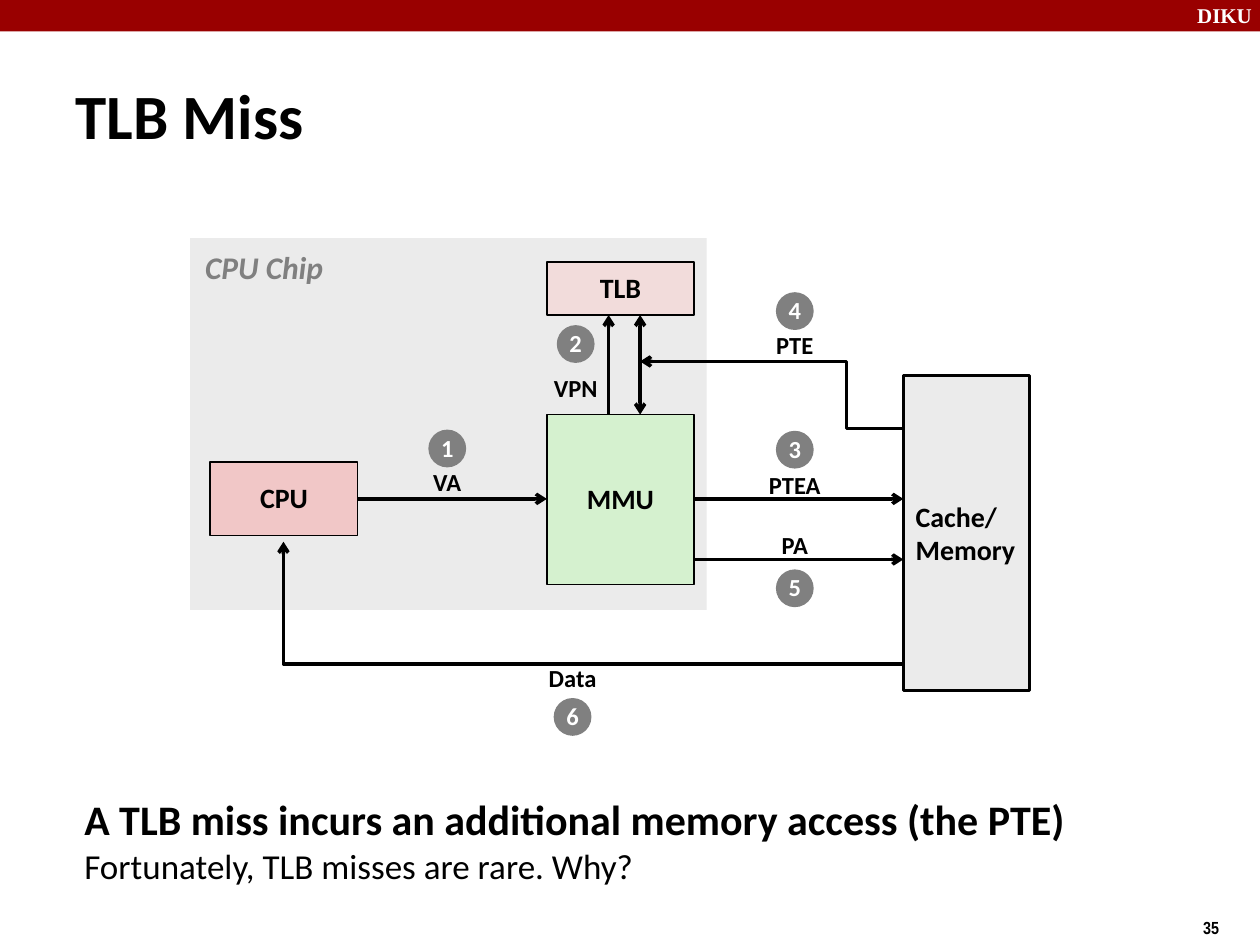
from lxml import etree
from pptx import Presentation
from pptx.dml.color import RGBColor
from pptx.enum import shapes, text
from pptx.oxml.ns import qn
from pptx.util import Pt

SHAPE = shapes.MSO_SHAPE
LINE = shapes.MSO_CONNECTOR
LEFT, CENTER = text.PP_ALIGN.LEFT, text.PP_ALIGN.CENTER
MIDDLE, TOP = text.MSO_ANCHOR.MIDDLE, text.MSO_ANCHOR.TOP
BLACK, WHITE, GREY, PALE = "000000", "FFFFFF", "808080", "EBEBEB"


def color(hex_code):
    return RGBColor.from_string(hex_code)


def style(font, size, hex_code=BLACK, bold=True, name="Calibri"):
    font.size, font.bold, font.name = Pt(size), bold, name
    font.color.rgb = color(hex_code)


def place(part, left, top, width, height):
    part.left, part.top = Pt(left), Pt(top)
    part.width, part.height = Pt(width), Pt(height)


def write(part, words, size, hex_code=BLACK, align=LEFT, anchor=MIDDLE,
          wrap=False, name="Calibri"):
    frame = part.text_frame
    frame.text = words
    frame.word_wrap, frame.vertical_anchor = wrap, anchor
    for para in frame.paragraphs:
        para.alignment = align
        if align == CENTER:
            para.line_spacing = 0.98
        for span in para.runs:
            style(span.font, size, hex_code, name=name)


def add_block(page, kind, box, fill, line_width=0):
    block = page.shapes.add_shape(kind, *map(Pt, box))
    block.shadow.inherit = False
    block.fill.solid()
    block.fill.fore_color.rgb = color(fill)
    if line_width:
        block.line.color.rgb = color(BLACK)
        block.line.width = Pt(line_width)
    else:
        block.line.fill.background()
    return block


def add_label(page, box, words, size, **options):
    label = page.shapes.add_textbox(*map(Pt, box))
    write(label, words, size, **options)
    return label


def add_arrow(page, start, end, kind=LINE.STRAIGHT, both=False):
    arrow = page.shapes.add_connector(kind, *map(Pt, start + end))
    arrow.line.color.rgb = color(BLACK)
    arrow.line.width = Pt(2)
    line = arrow.line._get_or_add_ln()
    for tag in ("a:headEnd", "a:tailEnd") if both else ("a:tailEnd",):
        etree.SubElement(line, qn(tag), type="arrow")
    etree.SubElement(arrow._element.spPr, qn("a:effectLst"))
    return arrow


def add_frame(page, width):
    """Top band, department name and page number."""
    add_block(page, SHAPE.RECTANGLE, (0, 0, width, 18), "990000")
    add_label(page, (width - 43, -2, 48, 21.6), "DIKU", 12, hex_code=WHITE,
              anchor=TOP, name="Times New Roman")
    add_label(page, (width - 39.6, 520.6, 54, 21), "35", 10, anchor=TOP,
              wrap=True, name="Arial Narrow")


def add_title(page, box):
    title = page.shapes.title
    place(title, *box)
    write(title, "TLB Miss", 36, wrap=True)
    title.text_frame.auto_size = text.MSO_AUTO_SIZE.NONE


def add_summary(page, box):
    body = page.placeholders[1]
    place(body, *box)
    frame = body.text_frame
    frame.text = ("A TLB miss incurs an additional memory access (the PTE)\v"
                  "Fortunately, TLB misses are rare. Why?")
    frame.auto_size = text.MSO_AUTO_SIZE.NONE
    para = frame.paragraphs[0]
    para.space_before = Pt(0)
    settings = para._p.get_or_add_pPr()
    settings.set("marL", "0")
    settings.set("indent", "0")
    etree.SubElement(settings, qn("a:buNone"))
    claim, question = para.runs
    style(claim.font, 24)
    style(question.font, 20, bold=False)


def add_diagram(page, left, top):
    def at(x, y):
        return left + x, top + y

    # CPU chip background and caption
    add_block(page, SHAPE.RECTANGLE, at(0, 0) + (295.2, 212.4), PALE)
    caption = add_label(page, at(1.4, 2.2) + (82, 28.8), "CPU Chip", 18,
                        hex_code=GREY, anchor=TOP)
    caption.text_frame.paragraphs[0].runs[0].font.italic = True

    # Units: name, x, y, width, height, fill, line width, alignment
    units = [
        ("MMU", 203.8, 100.8, 84.2, 97.2, "D5F1CF", 1, CENTER),
        ("Cache/\nMemory", 407.5, 78.5, 72, 180, PALE, 1.5, LEFT),
        ("CPU", 11.5, 128.1, 84.2, 41.8, "F1C7C7", 1, CENTER),
        ("TLB", 203.8, 13.7, 84.2, 30.2, "F2DCDB", 1, CENTER),
    ]
    for name, x, y, width, height, fill, line_width, align in units:
        unit = add_block(page, SHAPE.RECTANGLE, at(x, y) + (width, height),
                         fill, line_width)
        write(unit, name, 16, align=align)

    # Straight arrows
    add_arrow(page, at(95.7, 149), at(203.8, 149))
    add_arrow(page, at(288, 149), at(407.5, 149))
    add_arrow(page, at(288, 183.6), at(407.5, 183.6))
    add_arrow(page, at(239.1, 100.8), at(239.1, 43.9))
    add_arrow(page, at(257.1, 43.9), at(257.1, 100.8), both=True)

    # Bent arrows: PTE back to the TLB, data back to the CPU
    pte = add_arrow(page, at(407.5, 108.7), at(257.1, 70.5), LINE.ELBOW)
    guides = pte._element.spPr.prstGeom.get_or_add_avLst()
    etree.SubElement(guides, qn("a:gd"), name="adj1", fmla="val 21600")
    data = add_arrow(page, at(407.5, 243.3), at(53.3, 173.5), LINE.ELBOW)
    data._element.spPr.prstGeom.set("prst", "bentConnector2")

    # Steps: label, centre x, badge top, label top
    steps = [
        ("VA", 146.9, 109.4, 128.1),
        ("VPN", 220.3, 49.7, 74.1),
        ("PTEA", 345.5, 110.1, 129.6),
        ("PTE", 345.5, 30.9, 49.7),
        ("PA", 345.5, 189.3, 164.1),
        ("Data", 218.5, 262.8, 239.7),
    ]
    size, label_width = 21.6, 44
    for number, (name, center, badge_top, label_top) in enumerate(steps, 1):
        badge = add_block(page, SHAPE.OVAL,
                          at(center - size / 2, badge_top) + (size, size), GREY)
        write(badge, str(number), 14, WHITE, CENTER)
        add_label(page, at(center - label_width / 2, label_top)
                  + (label_width, 23.8), name, 14, align=CENTER)


def main():
    deck = Presentation()
    deck.slide_width, deck.slide_height = Pt(720), Pt(540)
    page = deck.slides.add_slide(deck.slide_layouts[1])
    add_frame(page, 720)
    add_title(page, (36, 34.6, 686, 62))
    add_diagram(page, 108.7, 136.1)
    add_summary(page, (41, 450, 607, 72))
    deck.save("out.pptx")


if __name__ == "__main__":
    main()
